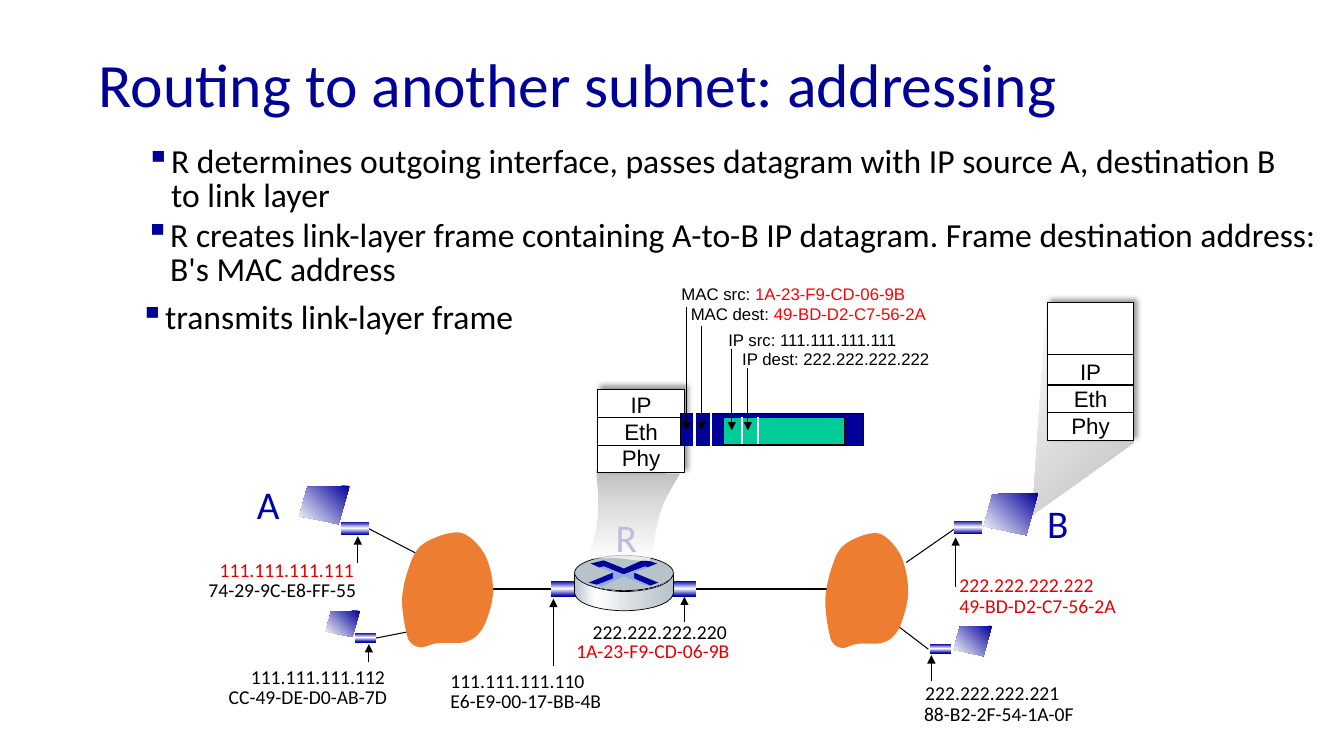
from lxml.etree import SubElement
from pptx import Presentation
from pptx.dml.color import RGBColor
from pptx.enum.shapes import MSO_CONNECTOR, MSO_SHAPE
from pptx.enum.text import MSO_ANCHOR, PP_ALIGN
from pptx.oxml.ns import qn
from pptx.util import Pt

BLACK = RGBColor(0x00, 0x00, 0x00)
WHITE = RGBColor(0xFF, 0xFF, 0xFF)
NAVY = RGBColor(0x00, 0x00, 0x99)
BLUE = RGBColor(0x00, 0x00, 0xA8)
PALE_BLUE = RGBColor(0x8F, 0xAA, 0xDC)
RED = RGBColor(0xE4, 0x00, 0x00)
BRIGHT_RED = RGBColor(0xFF, 0x00, 0x00)
ORANGE = RGBColor(0xED, 0x7D, 0x31)
GREEN = RGBColor(0x00, 0xCC, 0x99)
GRAY = RGBColor(0xBF, 0xBF, 0xBF)
STEEL = RGBColor(0xB8, 0xC2, 0xC9)
LIGHT_STEEL = RGBColor(0xD6, 0xDC, 0xE0)

# Gradients: stops of position, colour, opacity; then the clockwise angle
PORT_FILL = [(0, BLUE, 100), (50, WHITE, 100), (99, BLUE, 100)], 90
COMPUTER_FILL = [(0, NAVY, 100), (100, WHITE, 100)], 135
ROUTER_FILL = [(0, STEEL, 100), (21, WHITE, 100), (60, LIGHT_STEEL, 100), (100, STEEL, 100)], 0
HOST_FUNNEL_FILL = [(0, WHITE, 100), (99, GRAY, 100)], 45
ROUTER_FUNNEL_FILL = [(0, GRAY, 100), (100, WHITE, 72)], 90

presentation = Presentation()
presentation.slide_width = Pt(960)
presentation.slide_height = Pt(540)
slide = presentation.slides.add_slide(presentation.slide_layouts[6])
shapes = slide.shapes


def paint(shape, fill, line_width=0):
    shape.shadow.inherit = False
    if isinstance(fill, RGBColor):
        shape.fill.solid()
        shape.fill.fore_color.rgb = fill
    else:
        stops, angle = fill
        shape.fill.gradient()
        shape.fill.gradient_angle = -angle % 360
        stop_list = next(shape.element.iter(qn("a:gsLst")))
        for old_stop in list(stop_list):
            stop_list.remove(old_stop)
        for position, color, opacity in stops:
            stop = SubElement(stop_list, qn("a:gs"), pos=str(position * 1000))
            color_element = SubElement(stop, qn("a:srgbClr"), val=str(color))
            SubElement(color_element, qn("a:alpha"), val=str(opacity * 1000))
    if line_width:
        shape.line.color.rgb = BLACK
        shape.line.width = Pt(line_width)
    else:
        shape.line.fill.background()


def draw_line(x1, y1, x2, y2, width=0.75, color=BLACK, arrow=False):
    line = shapes.add_connector(MSO_CONNECTOR.STRAIGHT, Pt(x1), Pt(y1), Pt(x2), Pt(y2))
    line.line.color.rgb = color
    line.line.width = Pt(width)
    properties = line.element.spPr
    if arrow:
        SubElement(properties.find(qn("a:ln")), qn("a:tailEnd"), type="triangle")
    SubElement(properties, qn("a:effectLst"))


# Title
title = shapes.add_textbox(Pt(63.4), Pt(27.4), Pt(828), Pt(70.6)).text_frame
title.word_wrap = True
title.vertical_anchor = MSO_ANCHOR.MIDDLE
paragraph = title.paragraphs[0]
paragraph.text = "Routing to another subnet: addressing"
paragraph.line_spacing = 0.9
paragraph.font.name = "Calibri"
paragraph.font.size = Pt(44)
paragraph.font.color.rgb = NAVY

# Bullets
for left, top, width, text in [
    (97.2, 100.8, 832.3, "R determines outgoing interface, passes datagram with IP source A, destination B to link layer"),
    (96.5, 153.4, 851, "R creates link-layer frame containing A-to-B IP datagram. Frame destination address: B's MAC address"),
    (92.9, 212.4, 291.6, "transmits link-layer frame"),
]:
    frame = shapes.add_textbox(Pt(left), Pt(top), Pt(width), Pt(50)).text_frame
    frame.word_wrap = True
    paragraph = frame.paragraphs[0]
    paragraph.text = text
    paragraph.line_spacing = 0.85
    properties = paragraph._p.get_or_add_pPr()
    properties.set("marL", str(Pt(18)))
    properties.set("indent", str(-Pt(18)))
    SubElement(SubElement(properties, qn("a:buClr")), qn("a:srgbClr"), val=str(NAVY))
    SubElement(properties, qn("a:buChar"), char="▪")
    paragraph.font.name = "Calibri"
    paragraph.font.size = Pt(24)
    paragraph.font.color.rgb = BLACK

# Node names, addresses and frame fields
for left, top, width, font_name, size, runs in [
    (176.4, 339.8, 31, "Calibri", 28, [("A", BLUE)]),
    (740.9, 352.8, 30.2, "Calibri", 28, [("B", BLUE)]),
    (432.7, 362.9, 30.2, "Calibri", 28, [("R", BLUE)]),
    (149.8, 394.6, 111.6, "Calibri", 14, [("111.111.111.111", RED)]),
    (141.8, 409, 121, "Calibri", 14, [("74-29-9C-E8-FF-55", BLACK)]),
    (172.1, 471.6, 111.6, "Calibri", 14, [("111.111.111.112", BLACK)]),
    (156.2, 486, 128.9, "Calibri", 14, [("CC-49-DE-D0-AB-7D", BLACK)]),
    (314.6, 474.5, 111.6, "Calibri", 14, [("111.111.111.110", BLACK)]),
    (314.6, 488.2, 123.1, "Calibri", 14, [("E6-E9-00-17-BB-4B", BLACK)]),
    (416.2, 439.2, 111.6, "Calibri", 14, [("222.222.222.220", BLACK)]),
    (404.6, 452.9, 124.6, "Calibri", 14, [("1A-23-F9-CD-06-9B", RED)]),
    (678.2, 405.4, 111.6, "Calibri", 14, [("222.222.222.222", RED)]),
    (678.2, 420.5, 127.4, "Calibri", 14, [("49-BD-D2-C7-56-2A", RED)]),
    (653.8, 483.1, 111.6, "Calibri", 14, [("222.222.222.221", BLACK)]),
    (653, 497.5, 122.4, "Calibri", 14, [("88-B2-2F-54-1A-0F", BLACK)]),
    (483.5, 199.4, 176, "Arial", 12, [("MAC src: ", BLACK), ("1A-23-F9-CD-06-9B", BRIGHT_RED)]),
    (490.2, 213.2, 184, "Arial", 12, [("MAC dest: ", BLACK), ("49-BD-D2-C7-56-2A", BRIGHT_RED)]),
    (517, 231.8, 136, "Arial", 12, [("IP src: 111.111.111.111", BLACK)]),
    (527, 245.6, 150, "Arial", 12, [("IP dest: 222.222.222.222", BLACK)]),
]:
    frame = shapes.add_textbox(Pt(left), Pt(top), Pt(width), Pt(size * 1.2 + 7.2)).text_frame
    frame.word_wrap = False
    if font_name == "Arial":
        frame.margin_left = Pt(3.2)
    paragraph = frame.paragraphs[0]
    paragraph.font.name = font_name
    paragraph.font.size = Pt(size)
    for text, color in runs:
        run = paragraph.add_run()
        run.text = text
        run.font.color.rgb = color

# Links between the nodes
draw_line(338.4, 420.5, 592.6, 420.5, 1.25)
for ends in [(262.8, 377.3, 297.4, 395.3), (268.6, 455.8, 290.9, 451.4),
             (647.3, 401.8, 682.6, 377.3), (663.1, 463.7, 642.2, 447.8)]:
    draw_line(*ends)

# Network ports, by centre
for x, y, width, height in [
    (253.8, 377.3, 20, 9.4), (261, 455.4, 15.1, 6.5), (691.6, 376.6, 20, 9.4),
    (672.1, 463.3, 15.1, 6.5), (403.6, 420.5, 20, 10.8), (487.1, 420.5, 20, 10.8),
]:
    port = shapes.add_shape(MSO_SHAPE.RECTANGLE, Pt(x - width / 2), Pt(y - height / 2), Pt(width), Pt(height))
    paint(port, PORT_FILL)

# Router top
router_top = shapes.add_shape(MSO_SHAPE.OVAL, Pt(410.4), Pt(396.7), Pt(70.6), Pt(25.2))
paint(router_top, STEEL, 0.5)

# Outlines: pairs are corners, sextuples are Bezier curves
cloud = [
    (306.7, 385.9), (301, 388.8, 298.1, 391.7, 295.2, 397.4), (292.3, 403.9, 288.7, 414.7, 288, 421.2),
    (286.6, 428.4, 287.3, 433.4, 288, 439.2), (288.7, 445, 290.2, 452.2, 291.6, 456.5),
    (293.8, 460.1, 295.9, 461.5, 299.5, 462.2), (303.1, 463, 306.7, 460.1, 312.5, 459.4),
    (317.5, 458.6, 326.9, 460.1, 331.9, 458.6), (337.7, 457.2, 341.3, 454.3, 344.9, 448.6),
    (347.8, 443.5, 351.4, 432.7, 352.1, 424.8), (352.8, 416.2, 350.6, 405.4, 347, 397.4),
    (343.4, 390.2, 336.2, 383, 330.5, 380.9), (324, 378.7, 312.5, 383, 306.7, 385.9),
]
right_cloud = [tuple(328.2 + 0.91 * v if i % 2 == 0 else v + 0.5 for i, v in enumerate(step)) for step in cloud]
router_base = [
    (481, 410.4), (481, 424.1), (478.8, 433.4, 457.9, 436.3, 445.7, 436.3),
    (434.2, 436.3, 412.6, 433.4, 410.4, 424.1), (410.4, 410.4),
    (413.3, 418.3, 433.4, 422.6, 445.7, 422.6), (457.2, 422.6, 478.1, 419.8, 481, 410.4),
]
upper_arrows = [(460.1, 399.6), (469.4, 402.5), (462.2, 405.4), (460.8, 404.6), (445, 410.4),
                (431.3, 404.6), (428.4, 405.4), (421.9, 402.5), (431.3, 400.3), (445.7, 406.1)]
right_arrow = [(452.9, 409), (470.2, 416.2), (464.4, 418.3), (452.9, 413.3)]
left_arrow = [(437.8, 409), (437.8, 414), (426.2, 417.6), (420.5, 416.2)]
arrow_center = [(428.4, 405.4), (431.3, 404.6), (445.7, 410.4), (460.8, 404.6), (463, 405.4),
                (452.9, 409), (452.9, 413.3), (464.4, 418.3), (461.5, 418.3), (445.7, 411.8),
                (429.1, 419), (427, 417.6), (437.8, 413.3), (437.8, 409)]
host_funnel = [(810, 316.1), (737.3, 367.9), (747.4, 218.2)]
router_funnel = [(485.3, 338.4), (463.7, 372.2, 470.9, 379.4, 463.7, 400.3),
                 (451.4, 401, 442.1, 396, 419.8, 398.9), (429.1, 372.2, 428.4, 362.9, 426.2, 336.2)]
outlines = [
    (cloud, ORANGE, 0), (right_cloud, ORANGE, 0), (router_base, ROUTER_FILL, 0.5),
    (upper_arrows, NAVY, 0), (right_arrow, NAVY, 0), (left_arrow, BLUE, 0), (arrow_center, PALE_BLUE, 0),
    (host_funnel, HOST_FUNNEL_FILL, 0), (router_funnel, ROUTER_FUNNEL_FILL, 0),
]
for left, top, width, height in [(213.8, 347, 36, 27.4), (232.6, 436.3, 24.5, 18.7),
                                 (681.1, 447.1, 27.4, 21.6), (702.7, 352.1, 38.9, 30.2)]:
    computer = [(left + width * x, top + height * y) for x, y in [(1, 0), (0.16, 0.03), (0, 0.79), (0.78, 1)]]
    outlines.append((computer, COMPUTER_FILL, 0))
for steps, fill, line_width in outlines:
    points = [steps[0]]
    for step in steps[1:]:
        if len(step) == 2:
            points.append(step)
            continue
        x0, y0 = points[-1]
        x1, y1, x2, y2, x3, y3 = step
        for t in [k / 8 for k in range(1, 9)]:
            a, b, c, d = (1 - t) ** 3, 3 * t * (1 - t) ** 2, 3 * t * t * (1 - t), t ** 3
            points.append((a * x0 + b * x1 + c * x2 + d * x3, a * y0 + b * y1 + c * y2 + d * y3))
    corners = [(Pt(x), Pt(y)) for x, y in points]
    builder = shapes.build_freeform(*corners[0])
    builder.add_line_segments(corners[1:], close=True)
    paint(builder.convert_to_shape(), fill, line_width)

# Protocol stacks of router and host B
for left, top, height, dividers in [(427, 277.9, 59.8, [298.1, 318.2]),
                                    (748.1, 216, 98.6, [253.4, 275, 294.5])]:
    stack = shapes.add_shape(MSO_SHAPE.RECTANGLE, Pt(left), Pt(top), Pt(61.9), Pt(height))
    paint(stack, WHITE, 0.75)
    shadow = SubElement(stack.element.spPr.find(qn("a:effectLst")), qn("a:outerShdw"),
                        blurRad=str(Pt(4)), dist=str(Pt(3)), dir=str(315 * 60000))
    shadow_color = SubElement(shadow, qn("a:srgbClr"), val=str(BLACK))
    SubElement(shadow_color, qn("a:alpha"), val="40000")
    frame = stack.text_frame
    frame.vertical_anchor = MSO_ANCHOR.BOTTOM
    frame.margin_top = frame.margin_bottom = Pt(1)
    frame.text = "IP\nEth\nPhy"
    for paragraph in frame.paragraphs:
        paragraph.alignment = PP_ALIGN.CENTER
        paragraph.font.name = "Arial"
        paragraph.font.size = Pt(16)
        paragraph.font.color.rgb = BLACK
    for y in dividers:
        draw_line(left, y, left + 61.2, y)

# Frame with the datagram inside
for left, top, width, height, fill in [(486, 295.2, 131, 23, NAVY), (517, 298.1, 86.4, 19.4, GREEN)]:
    paint(shapes.add_shape(MSO_SHAPE.RECTANGLE, Pt(left), Pt(top), Pt(width), Pt(height)), fill, 0.75)
for x, top, bottom in [(496.1, 295.2, 319), (507.6, 295.2, 319), (529.9, 298.1, 316.8), (541.4, 298.1, 316.8)]:
    draw_line(x, top, x, bottom, 1.5, WHITE)

# Arrows from addresses to frame fields and ports
for x, start, end, width in [
    (490.3, 219.6, 307.4, 0.75), (501.1, 232.6, 307.4, 0.75), (522.7, 249.1, 307.4, 0.75),
    (534.2, 262.8, 307.4, 0.75), (263.5, 473, 460.1, 0.75), (255.6, 402.5, 383, 0.75),
    (395.3, 475.9, 427.7, 0.75), (488.9, 444.2, 426.2, 0.75), (682.6, 419, 383.8, 1),
    (665.3, 486.7, 468, 1),
]:
    draw_line(x, start, x, end, width, arrow=True)

presentation.save("out.pptx")
